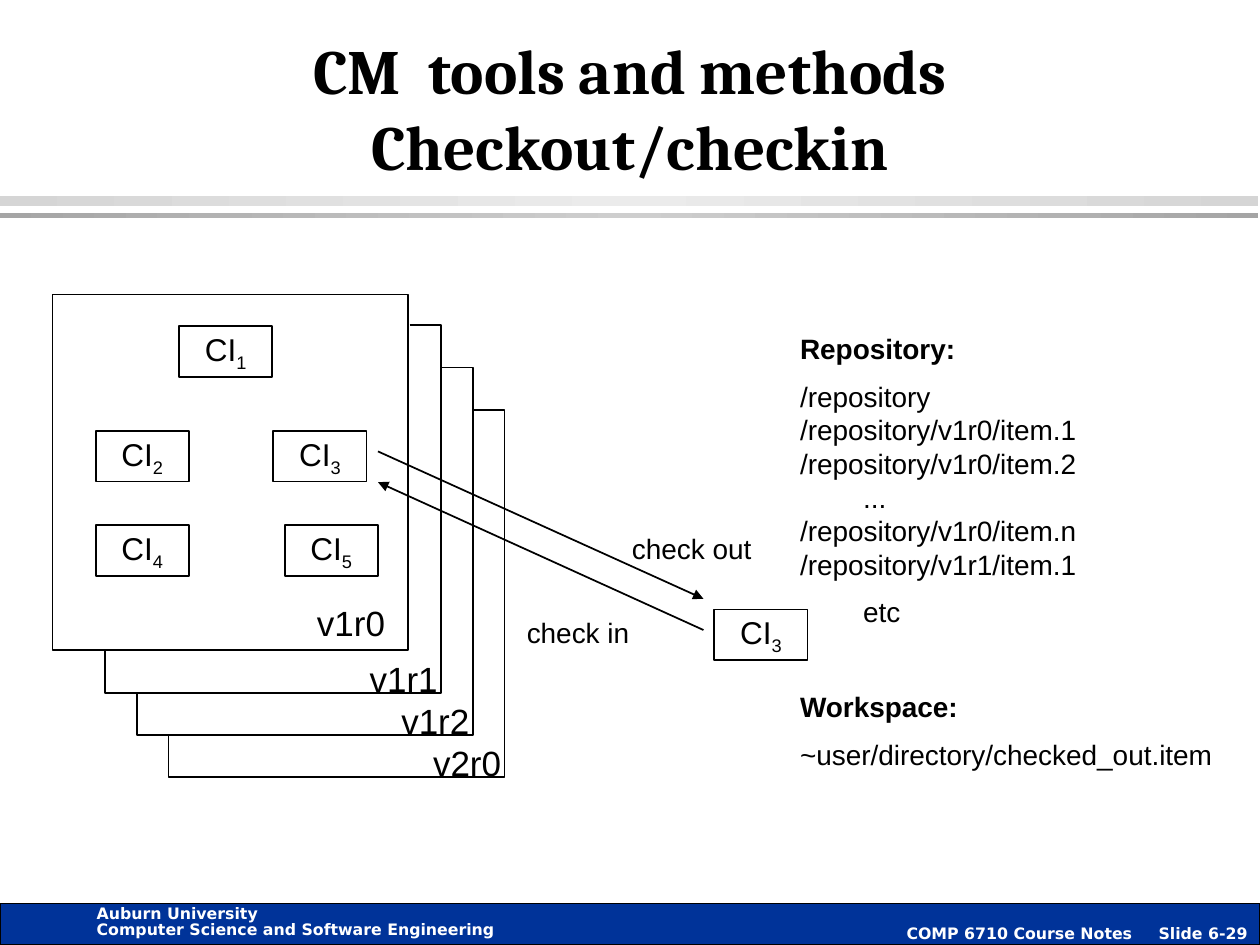
"""Build the checkout/checkin configuration management slide."""
from copy import deepcopy

from pptx import Presentation
from pptx.dml.color import RGBColor
from pptx.enum.shapes import MSO_CONNECTOR, MSO_SHAPE
from pptx.enum.text import MSO_ANCHOR, MSO_AUTO_SIZE, PP_ALIGN
from pptx.oxml.ns import qn
from pptx.util import Cm, Pt
from lxml.etree import SubElement

COLORS = {
    "ink": "000000", "paper": "FFFFFF", "bar": "003399",
    "band edge": "D5D5D5", "band middle": "EBEBEB",
    "rule edge": "A5A5A5", "rule middle": "CECECE",
}
FONTS = {
    "title": {"name": "Cambria", "size": Pt(36), "bold": True},
    "item": {"name": "Arial", "size": Pt(18), "bold": False},
    "version": {"name": "Arial", "size": Pt(20), "bold": False},
    "note": {"name": "Arial", "size": Pt(16), "bold": False},
    "heading": {"name": "Arial", "size": Pt(16), "bold": True},
    "footer": {"name": "DejaVu Sans", "size": Pt(9), "bold": True},
}
FRAME = {
    "word_wrap": True, "auto_size": MSO_AUTO_SIZE.NONE,
    "vertical_anchor": MSO_ANCHOR.TOP,
    "margin_left": Cm(0.25), "margin_right": Cm(0.25),
    "margin_top": Cm(0.13), "margin_bottom": Cm(0.13),
}
ITEM_SIZE = (1.88, 1.02)
ITEMS = [("1", 3.61, 6.58), ("2", 1.93, 8.69), ("3", 5.51, 8.69),
         ("4", 1.93, 10.59), ("5", 5.74, 10.59), ("3", 14.4, 12.29)]
SHEET_START, SHEET_STEP = (2.12, 6.56), (0.64, 0.85)
SHEET_OUTLINE = [(6.14, 0), (6.77, 0), (6.77, 7.41), (0, 7.41), (0, 6.56)]
NOTES = [
    ("Repository:", "heading", 0),
    ("/repository\v/repository/v1r0/item.1\v/repository/v1r0/item.2\v\t...\v"
     "/repository/v1r0/item.n\v/repository/v1r1/item.1", "note", 8),
    ("\tetc", "note", 8),
    ("Workspace:", "heading", 35),
    ("~user/directory/checked_out.item", "note", 8),
]


def color(name):
    """Return the named colour."""
    return RGBColor.from_string(COLORS[name])


def apply(target, values):
    """Set each attribute of the target from a dict."""
    for name, value in values.items():
        setattr(target, name, value)


def style_text(text, font, ink="ink"):
    """Give a paragraph or run its font and colour."""
    apply(text.font, FONTS[font])
    text.font.color.rgb = color(ink)


def write(box, lines, ink="ink", align=PP_ALIGN.LEFT, **frame):
    """Write (text, font, space before) lines into a box."""
    apply(box.text_frame, {**FRAME, **frame})
    for index, (text, font, space) in enumerate(lines):
        para = box.text_frame.paragraphs[0] if index == 0 else box.text_frame.add_paragraph()
        para.text = text
        apply(para, {"alignment": align, "space_before": Pt(space)})
        for span in para.runs:
            style_text(span, font, ink)


def add_label(page, text, font, left, top, width, height):
    """Add a one-line text box."""
    box = page.shapes.add_textbox(*map(Cm, (left, top, width, height)))
    write(box, [(text, font, 0)])


def outline(shape, points=1):
    """Draw a black line around a shape or along a connector."""
    shape.line.color.rgb = color("ink")
    shape.line.width = Pt(points)


def add_box(page, left, top, width, height):
    """Add an outlined rectangle without fill."""
    box = page.shapes.add_shape(MSO_SHAPE.RECTANGLE, *map(Cm, (left, top, width, height)))
    box.shadow.inherit = False
    box.fill.background()
    outline(box)
    return box


def add_band(page, top, height, name):
    """Add a horizontal band shaded from edge to middle to edge."""
    band = add_box(page, 0, top, 25.37, height)
    band.line.fill.background()
    band.fill.gradient()
    band.fill.gradient_angle = 0
    stops = band._element.spPr.find(qn("a:gradFill")).find(qn("a:gsLst"))
    stops.append(deepcopy(stops[0]))
    for index, part in enumerate(("edge", "middle", "edge")):
        stop = band.fill.gradient_stops[index]
        stop.position = index / 2
        stop.color.rgb = color(f"{name} {part}")


def add_item(page, number, left, top):
    """Add a configuration item with its subscript number."""
    box = add_box(page, left, top, *ITEM_SIZE)
    write(box, [("CI", "item", 0)], align=PP_ALIGN.CENTER, word_wrap=False,
          vertical_anchor=MSO_ANCHOR.MIDDLE)
    span = box.text_frame.paragraphs[0].add_run()
    span.text = number
    style_text(span, "item")
    span.font._element.set("baseline", "-25000")


def add_sheet(page, index, version):
    """Add the visible edge of a stacked version and its label."""
    left, top = (start + index * step for start, step in zip(SHEET_START, SHEET_STEP))
    points = [(Cm(left + x), Cm(top + y)) for x, y in SHEET_OUTLINE]
    builder = page.shapes.build_freeform(*points[0])
    builder.add_line_segments(points[1:], close=False)
    sheet = builder.convert_to_shape()
    sheet.shadow.inherit = False
    sheet.fill.background()
    outline(sheet)
    add_label(page, version, "version", left + 5.08, top + 6.56, 3.4, 1.09)


def add_arrow(page, *ends):
    """Add a line with an arrowhead at its end."""
    arrow = page.shapes.add_connector(MSO_CONNECTOR.STRAIGHT, *map(Cm, ends))
    outline(arrow)
    SubElement(arrow.line._get_or_add_ln(), qn("a:tailEnd"), type="triangle")
    SubElement(arrow._element.spPr, qn("a:effectLst"))


def add_title(page):
    """Place and format the title."""
    title = page.shapes.title
    apply(title, dict(zip(("left", "top", "width", "height"),
                          map(Cm, (1.9, 0.64, 21.59, 3.18)))))
    write(title, [("CM  tools and methods\vCheckout/checkin", "title", 0)],
          align=PP_ALIGN.CENTER, vertical_anchor=MSO_ANCHOR.BOTTOM)


def add_footer(page):
    """Add the footer bar with its two texts."""
    bar = add_box(page, 0, 18.21, 25.4, 0.84)
    bar.fill.solid()
    bar.fill.fore_color.rgb = color("bar")
    outline(bar, 0.75)
    write(bar, [("COMP 6710 Course Notes\tSlide 6-29", "footer", 0)], "paper",
          PP_ALIGN.RIGHT, vertical_anchor=MSO_ANCHOR.BOTTOM, margin_bottom=Cm(0.05))
    school = page.shapes.add_textbox(*map(Cm, (1.7, 18.16, 8.53, 0.89)))
    write(school, [("Auburn University", "footer", 0),
                   ("Computer Science and Software Engineering", "footer", 0)],
          "paper", word_wrap=False)
    for para in school.text_frame.paragraphs:
        para.line_spacing = Pt(9)


def main():
    """Build and save the deck."""
    deck = Presentation()
    apply(deck, {"slide_width": Cm(25.4), "slide_height": Cm(19.05)})
    page = deck.slides.add_slide(deck.slide_layouts[5])
    add_band(page, 3.96, 0.2, "band")
    add_band(page, 4.29, 0.1, "rule")
    add_footer(page)
    add_title(page)
    release = add_box(page, 1.06, 5.94, 7.16, 7.16)
    write(release, [("v1r0", "version", 0)], vertical_anchor=MSO_ANCHOR.BOTTOM,
          margin_left=Cm(5.33))
    for index, version in enumerate(("v1r1", "v1r2", "v2r0")):
        add_sheet(page, index, version)
    notes = page.shapes.add_textbox(*map(Cm, (15.88, 6.56, 9.12, 9.42)))
    write(notes, NOTES)
    for item in ITEMS:
        add_item(page, *item)
    add_arrow(page, 7.62, 9.1, 14.18, 12.07)
    add_arrow(page, 14.18, 12.7, 7.62, 9.72)
    add_label(page, "check out", "note", 12.49, 10.59, 5.74, 0.94)
    add_label(page, "check in", "note", 10.37, 12.27, 5.74, 0.94)
    deck.save("out.pptx")


if __name__ == "__main__":
    main()
